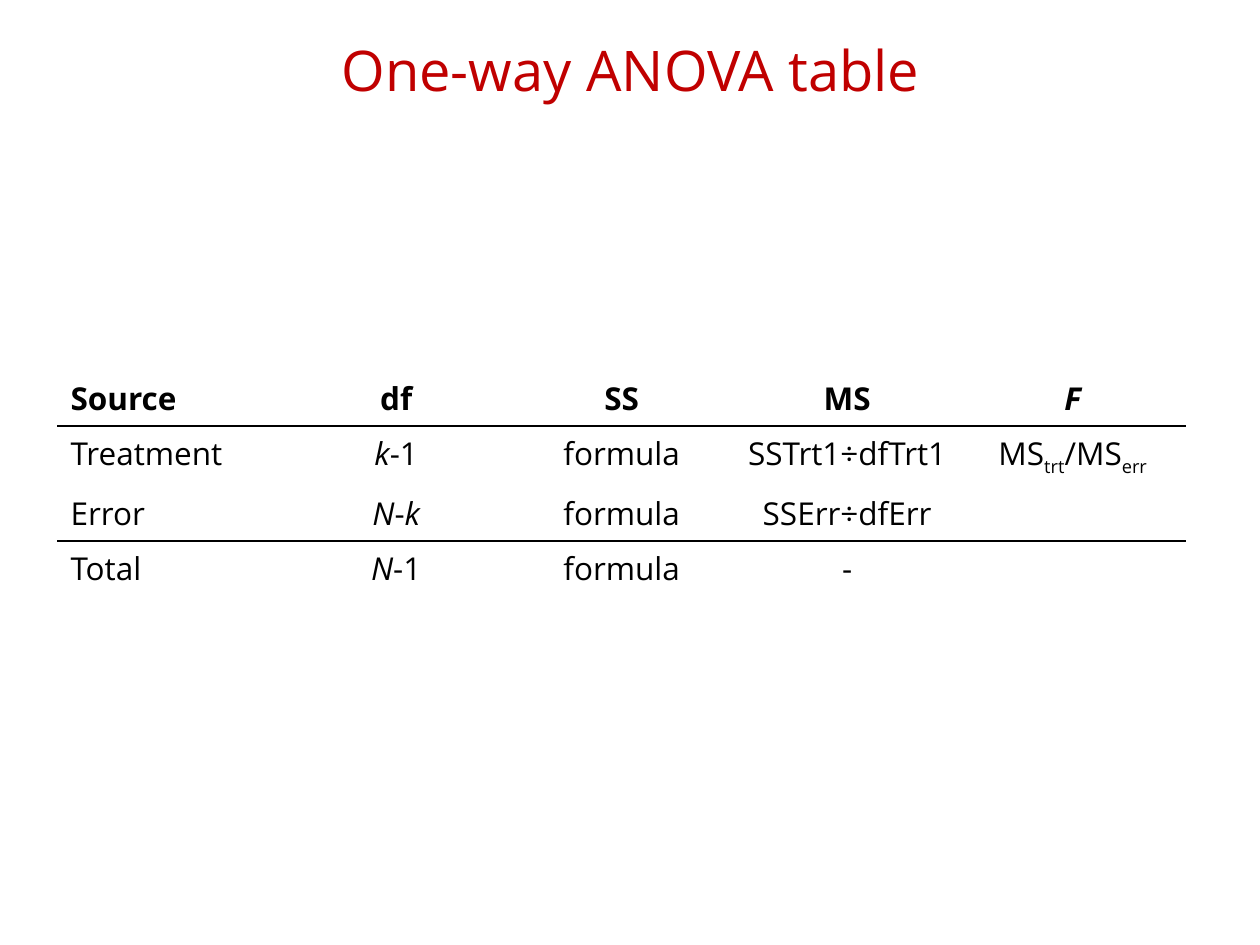
from lxml import etree
from pptx import Presentation
from pptx.dml.color import RGBColor
from pptx.enum.text import MSO_ANCHOR, PP_ALIGN
from pptx.oxml.ns import qn
from pptx.util import Inches, Pt

LEFT, CENTER = PP_ALIGN.LEFT, PP_ALIGN.CENTER
MIDDLE = MSO_ANCHOR.MIDDLE
TITLE_ONLY = 5

WIDTH, HEIGHT = 10, 7.5
FONT = "Open Sans"
BLACK, WHITE, RED = "000000", "FFFFFF", "C00000"
COLUMN_WIDTH, ROW_HEIGHT = 1.79, 0.41
RULED_ROWS = (0, 2)  # rows with a black line below

# Each cell is a list of (text, style) spans.
PLAIN, ITALIC, SUB = "plain", "italic", "sub"
FORMULA = [("formula", PLAIN)]
ROWS = [
    [[("Source", PLAIN)], [("df", PLAIN)], [("SS", PLAIN)], [("MS", PLAIN)],
     [("F", ITALIC)]],
    [[("Treatment", PLAIN)], [("k", ITALIC), ("-1", PLAIN)], FORMULA,
     [("SSTrt1÷dfTrt1", PLAIN)],
     [("MS", PLAIN), ("trt", SUB), ("/MS", PLAIN), ("err", SUB)]],
    [[("Error", PLAIN)], [("N", ITALIC), ("-", PLAIN), ("k", ITALIC)], FORMULA,
     [("SSErr÷dfErr", PLAIN)], []],
    [[("Total", PLAIN)], [("N", ITALIC), ("-1", PLAIN)], FORMULA,
     [("-", PLAIN)], []],
]


def color(value):
    """Turn a hex string into a colour."""
    return RGBColor.from_string(value)


def format_font(font, size, value, bold=False):
    """Set face, size, colour and weight of a font."""
    font.name, font.size, font.bold = FONT, Pt(size), bold
    font.color.rgb = color(value)


def add_title(page, text):
    """Place and format the title placeholder."""
    title = page.shapes.title
    title.left, title.top = Inches(0.1), Inches(0.08)
    title.width, title.height = Inches(9.81), Inches(1)
    title.line.color.rgb = color(WHITE)
    title.line.width = Pt(4.5)
    title.text_frame.text = text
    title.text_frame.vertical_anchor = MIDDLE
    para = title.text_frame.paragraphs[0]
    para.alignment, para.line_spacing = CENTER, 0.9
    format_font(para.runs[0].font, 32, RED)


def set_borders(cell, top, bottom):
    """Draw 1 pt borders: white sides, given top and bottom colours."""
    properties = cell._tc.get_or_add_tcPr()
    sides = {"a:lnL": WHITE, "a:lnR": WHITE, "a:lnT": top, "a:lnB": bottom}
    for tag, value in sides.items():
        line = etree.SubElement(properties, qn(tag), w=str(Pt(1)))
        fill = etree.SubElement(line, qn("a:solidFill"))
        etree.SubElement(fill, qn("a:srgbClr"), val=value)


def write_cell(cell, spans, alignment, bold):
    """Write styled spans into a cell."""
    para = cell.text_frame.paragraphs[0]
    para.alignment = alignment
    for text, style in spans:
        span = para.add_run()
        span.text = text
        format_font(span.font, 18, BLACK, bold)
        span.font.italic = style == ITALIC
        if style == SUB:
            span.font._element.set("baseline", "-25000")


def rule_color(row):
    """Return the colour of the line below a row."""
    return BLACK if row in RULED_ROWS else WHITE


def add_anova_table(page):
    """Add the table, ruled below the header and above the total."""
    row_count, column_count = len(ROWS), len(ROWS[0])
    table = page.shapes.add_table(
        row_count, column_count, Inches(0.46), Inches(2.94),
        Inches(COLUMN_WIDTH * column_count), Inches(ROW_HEIGHT * row_count)).table
    table.horz_banding = False
    for r, row in enumerate(ROWS):
        for c, spans in enumerate(row):
            cell = table.cell(r, c)
            write_cell(cell, spans, CENTER if c else LEFT, r == 0)
            set_borders(cell, rule_color(r - 1), rule_color(r))
            cell.fill.background()


def main():
    """Build the deck and save it."""
    deck = Presentation()
    deck.slide_width, deck.slide_height = Inches(WIDTH), Inches(HEIGHT)
    page = deck.slides.add_slide(deck.slide_layouts[TITLE_ONLY])
    add_title(page, "One-way ANOVA table")
    add_anova_table(page)
    deck.save("out.pptx")


main()
